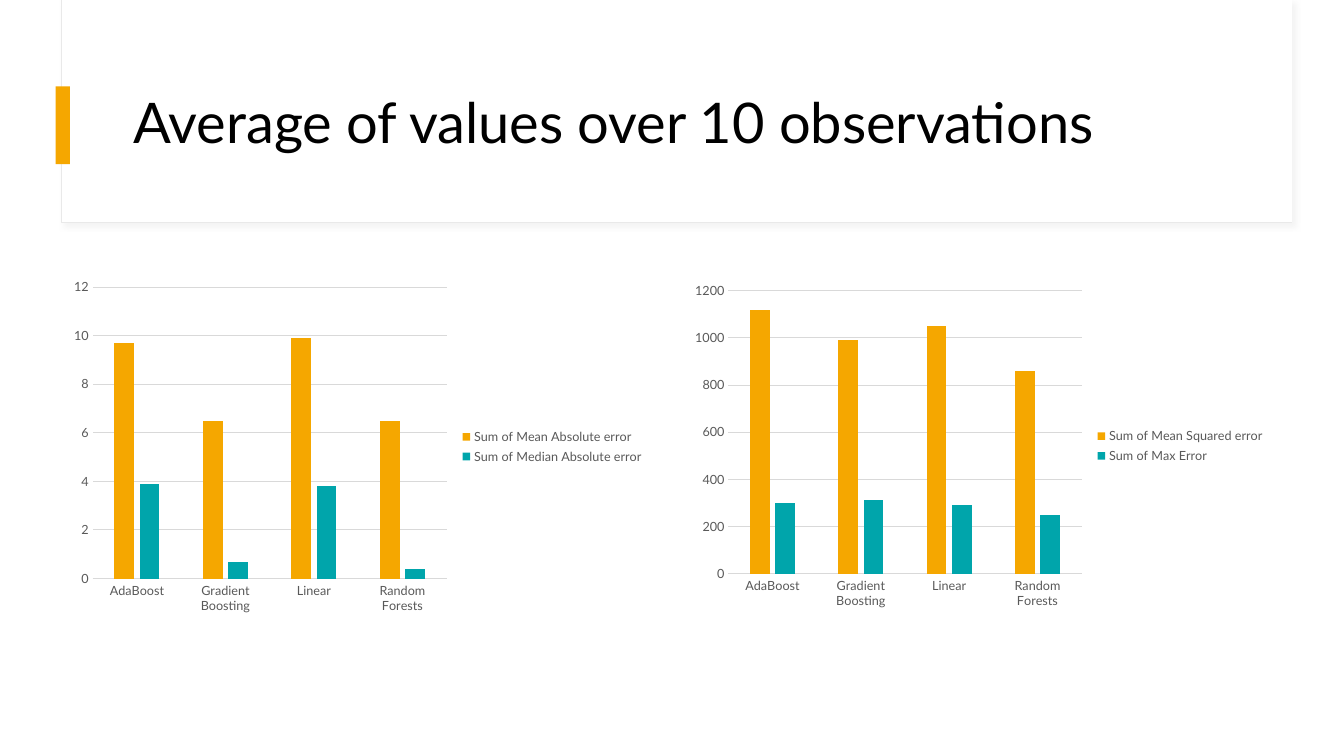
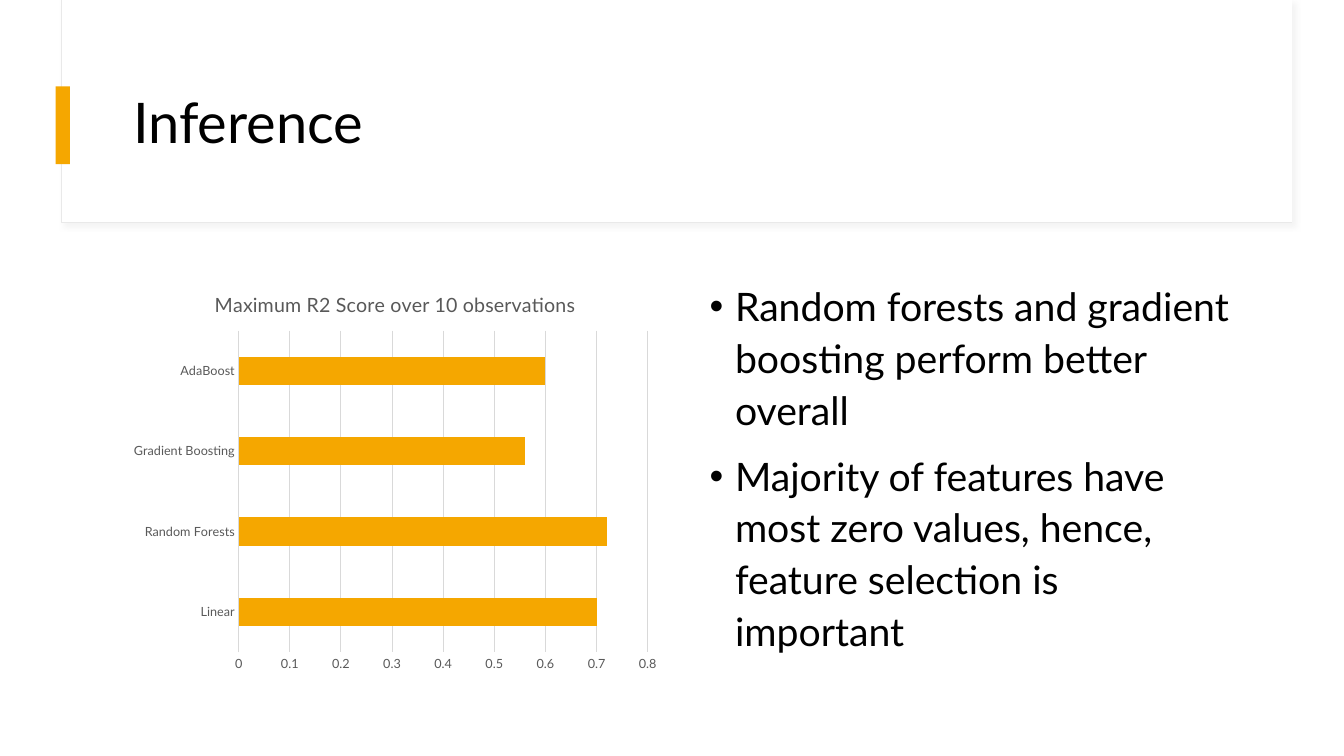
"""Build two slides comparing the errors and R2 scores of four regressors."""
from lxml import etree
from pptx import Presentation
from pptx.chart.data import CategoryChartData
from pptx.dml.color import RGBColor
from pptx.enum.chart import XL_CHART_TYPE as ChartType
from pptx.enum.chart import XL_LEGEND_POSITION as LegendPos
from pptx.enum.chart import XL_TICK_MARK as Tick
from pptx.enum.shapes import MSO_SHAPE as Shape
from pptx.enum.text import MSO_ANCHOR as Anchor
from pptx.enum.text import MSO_AUTO_SIZE as AutoSize
from pptx.oxml import parse_xml
from pptx.oxml.ns import nsdecls, qn
from pptx.util import Cm, Pt

FONT = "Lato"
BLACK, WHITE, GRAY, RULE = "000000", "FFFFFF", "595959", "D9D9D9"
GOLD, TEAL, EDGE = "F5A700", "00A5AB", "E9E9E9"
TITLE_BOX = (3.1, 1.52, 28.24, 3.28)
BODY_BOX = (17.63, 6.88, 13.72, 10.26)

BAND = [
    {"box": (1.55, 0, 31.01, 5.61), "fill": WHITE, "line": EDGE},
    {"box": (1.57, 0, 30.99, 5.59), "fill": WHITE, "line": None},
    {"box": (1.4, 2.18, 0.36, 1.96), "fill": GOLD, "line": None},
]
MODELS = ["AdaBoost", "Gradient Boosting", "Linear", "Random Forests"]
SLIDES = [
    {
        "title": "Average of values over 10 observations",
        "layout": 5,
        "bullets": [],
        "charts": [
            {
                "box": (1.57, 6.86, 14.91, 8.79), "type": ChartType.COLUMN_CLUSTERED,
                "cats": MODELS, "gap": 219, "overlap": -27, "max": 12, "step": 2,
                "series": [("Sum of Mean Absolute error", [9.7, 6.5, 9.9, 6.5]),
                           ("Sum of Median Absolute error", [3.9, 0.7, 3.8, 0.4])],
            },
            {
                "box": (17.22, 6.96, 14.91, 8.56), "type": ChartType.COLUMN_CLUSTERED,
                "cats": MODELS, "gap": 219, "overlap": -27, "max": 1200, "step": 200,
                "series": [("Sum of Mean Squared error", [1120, 990, 1050, 860]),
                           ("Sum of Max Error", [300, 310, 290, 250])],
            },
        ],
    },
    {
        "title": "Inference",
        "layout": 1,
        "bullets": [
            "Random forests and gradient boosting perform better overall",
            "Majority of features have most zero values, hence, feature selection is important",
        ],
        "charts": [
            {
                "box": (3.1, 6.88, 13.72, 10.26), "type": ChartType.BAR_CLUSTERED,
                "cats": ["Linear", "Random Forests", "Gradient Boosting", "AdaBoost"],
                "gap": 182, "overlap": 0, "max": 0.8, "step": 0.1,
                "title": "Maximum R2 Score over 10 observations",
                "series": [("Series 1", [0.7, 0.72, 0.56, 0.6])],
            },
        ],
    },
]


def rgb(color):
    return RGBColor.from_string(color)


def place(sp, box):
    sp.left, sp.top, sp.width, sp.height = map(Cm, box)


def style_font(font, size, color):
    font.name, font.size, font.bold = FONT, Pt(size), False
    font.color.rgb = rgb(color)


def style_line(line, color):
    if color is None:
        line.fill.background()
    else:
        line.color.rgb = rgb(color)
        line.width = Pt(0.75)


def add_run(p, text, size, color):
    r = p.add_run()
    r.text = text
    style_font(r.font, size, color)


def add_shadow(sp):
    effects = sp.element.spPr.find(qn("a:effectLst"))
    effects.append(parse_xml(
        f'<a:outerShdw {nsdecls("a")} blurRad="{Pt(4)}" dist="{Pt(3)}" dir="2700000" '
        f'algn="tl" rotWithShape="0"><a:srgbClr val="{RULE}">'
        '<a:alpha val="30000"/></a:srgbClr></a:outerShdw>'))


def move_band_to_master(prs, s):
    tree = prs.slide_master.shapes.element
    for i, part in enumerate(BAND):
        sp = s.shapes.add_shape(Shape.RECTANGLE, *map(Cm, part["box"]))
        sp.shadow.inherit = False
        sp.fill.solid()
        sp.fill.fore_color.rgb = rgb(part["fill"])
        style_line(sp.line, part["line"])
        if part["line"]:
            add_shadow(sp)
        sp.element.nvSpPr.cNvPr.set("id", str(100 + i))
        tree.insert(2 + i, sp.element)


def add_title(s, text):
    sp = s.shapes.title
    place(sp, TITLE_BOX)
    tf = sp.text_frame
    tf.vertical_anchor, tf.auto_size = Anchor.MIDDLE, AutoSize.NONE
    p = tf.paragraphs[0]
    p.line_spacing = 0.9
    add_run(p, text, 40, BLACK)
    p._p.get_or_add_pPr().set("algn", "l")


def add_bullets(s, items):
    sp = s.placeholders[1]
    place(sp, BODY_BOX)
    tf = sp.text_frame
    tf.auto_size = AutoSize.NONE
    for i, text in enumerate(items):
        p = tf.add_paragraph() if i else tf.paragraphs[0]
        p.line_spacing, p.space_before = 1.1, Pt(10)
        indent = Cm(0.64)
        pPr = p._p.get_or_add_pPr()
        pPr.set("marL", str(indent))
        pPr.set("indent", str(-indent))
        etree.SubElement(pPr, qn("a:buChar")).set("char", "•")
        add_run(p, text, 28, BLACK)


def style_axes(chart, spec_max, step):
    cat, val = chart.category_axis, chart.value_axis
    for axis, color in ((cat, RULE), (val, None)):
        axis.major_tick_mark = axis.minor_tick_mark = Tick.NONE
        style_font(axis.tick_labels.font, 9, GRAY)
        style_line(axis.format.line, color)
    val.minimum_scale, val.maximum_scale, val.major_unit = 0, spec_max, step
    val.has_major_gridlines = True
    style_line(val.major_gridlines.format.line, RULE)


def add_chart(s, info):
    data = CategoryChartData()
    data.categories = info["cats"]
    for name, values in info["series"]:
        data.add_series(name, values)
    chart = s.shapes.add_chart(info["type"], *map(Cm, info["box"]), data).chart
    style_font(chart.font, 10, BLACK)
    style_axes(chart, info["max"], info["step"])

    plot = chart.plots[0]
    plot.vary_by_categories = False
    plot.gap_width, plot.overlap = info["gap"], info["overlap"]
    for series, color in zip(plot.series, (GOLD, TEAL)):
        series.format.fill.solid()
        series.format.fill.fore_color.rgb = rgb(color)

    chart.has_title = "title" in info
    if chart.has_title:
        add_run(chart.chart_title.text_frame.paragraphs[0], info["title"], 14, GRAY)
        chart.chart_title.include_in_layout = False
    chart.has_legend = len(info["series"]) > 1
    if chart.has_legend:
        chart.legend.position = LegendPos.RIGHT
        chart.legend.include_in_layout = False
        style_font(chart.legend.font, 9, GRAY)


def main():
    prs = Presentation()
    prs.slide_width, prs.slide_height = Cm(33.87), Cm(19.05)
    for i, info in enumerate(SLIDES):
        s = prs.slides.add_slide(prs.slide_layouts[info["layout"]])
        if i == 0:
            move_band_to_master(prs, s)
        add_title(s, info["title"])
        for chart in info["charts"]:
            add_chart(s, chart)
        if info["bullets"]:
            add_bullets(s, info["bullets"])
    prs.save("out.pptx")


if __name__ == "__main__":
    main()
